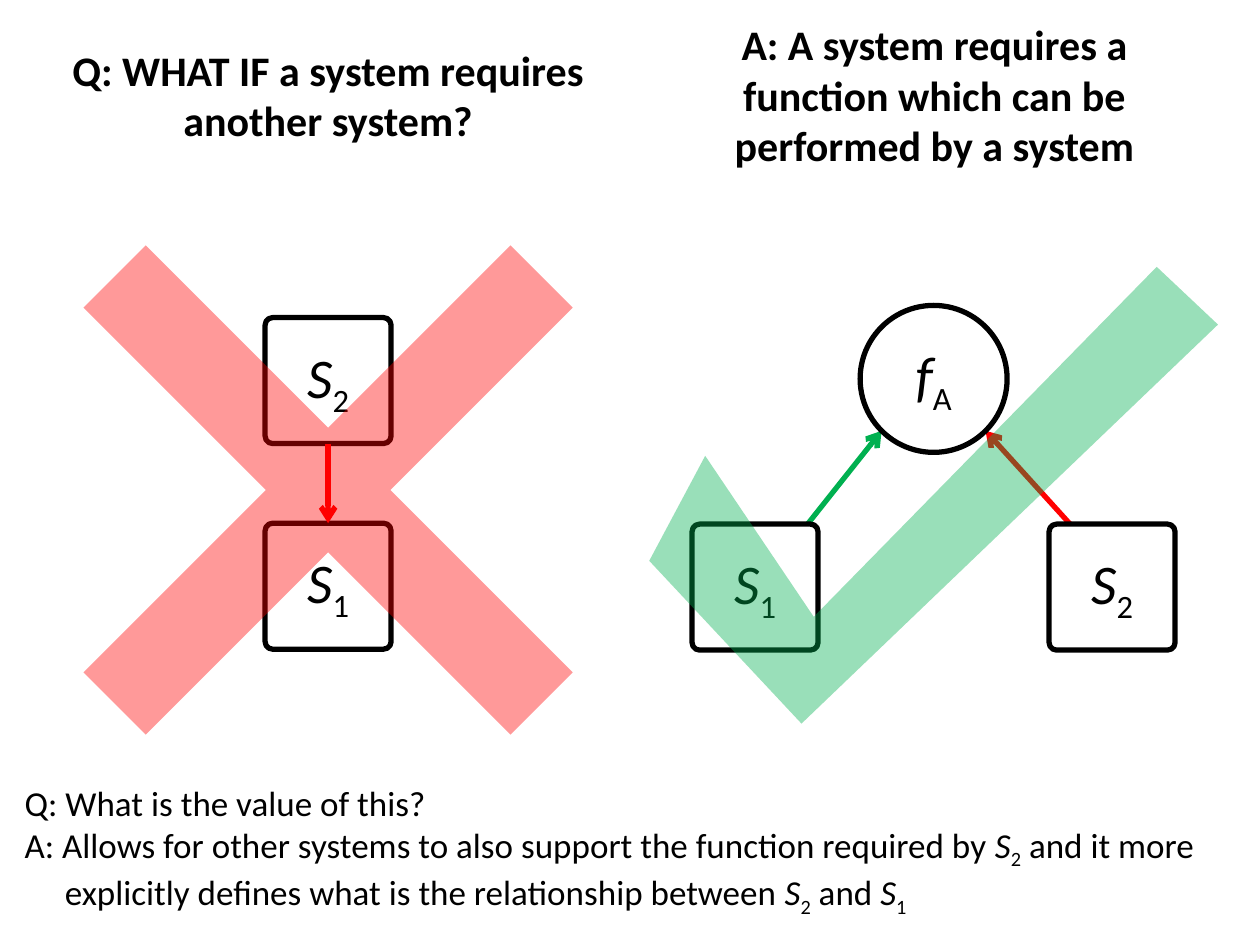
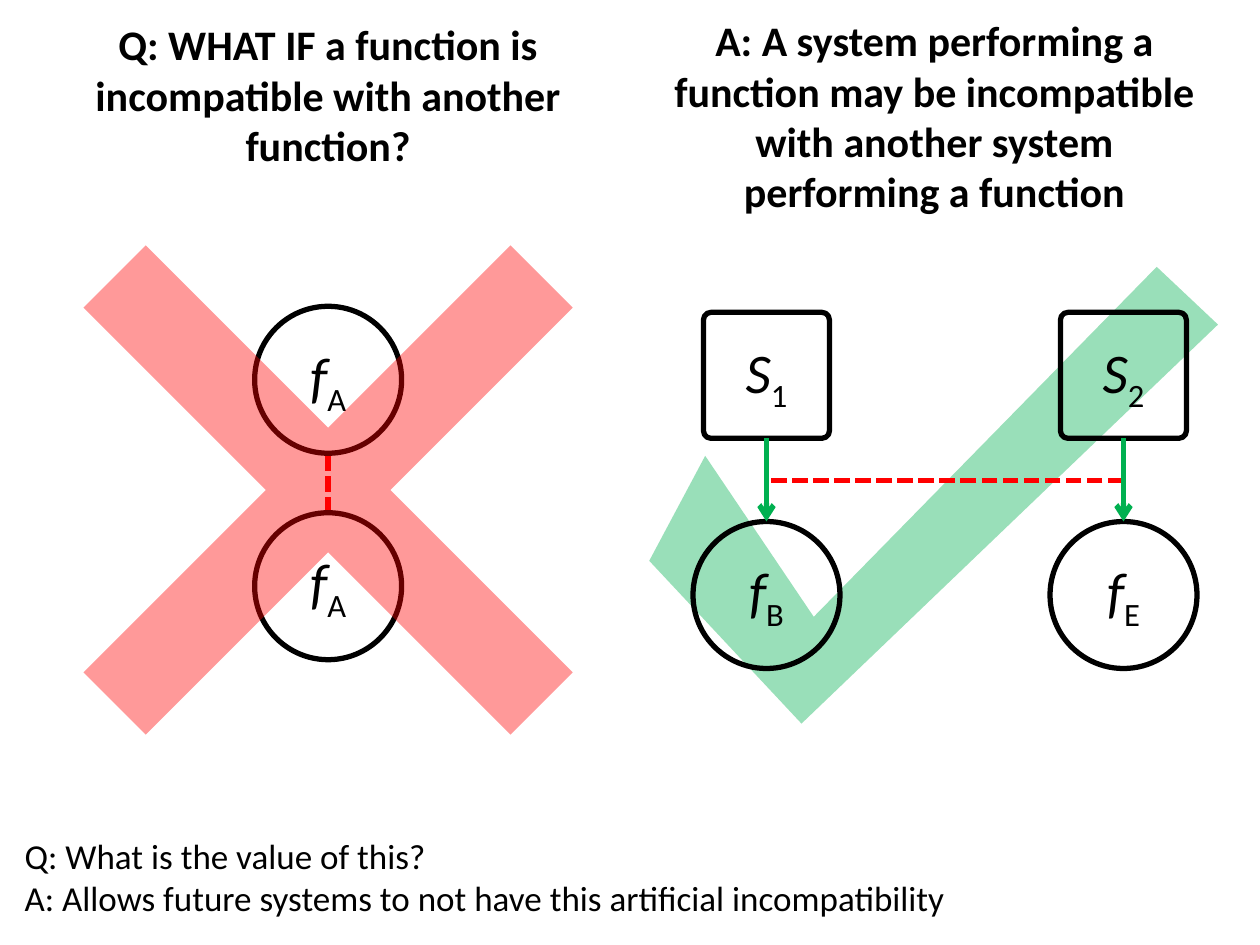
import math

from pptx import Presentation
from pptx.dml import color
from pptx.enum import dml, shapes, text
from pptx.oxml import ns, xmlchemy
from pptx.oxml import parse_xml
from pptx.util import Pt

BLACK, RED, GREEN = "000000", "FF0000", "00B050"
FONT = "Calibri"
BOX_SIDE, CIRCLE_SIDE, COLUMN_OFFSET = 72, 84, 102
CROSS_BOX = (15, 107.5, 345, 345)
CHECK_BOX = (371, 152.5, 325, 261)
LEFT_TITLE_BOX = (21.5, 36, 332, 36)
RIGHT_TITLE_BOX = (376, 36, 316, 36)
LOW_RIGHT_TITLE_BOX = (376, 48, 316, 36)
NOTE_BOX = (7, 444, 706, 84.5)
CHECK_POINTS = [(0, 168), (87, 261), (325, 33), (290, 0), (94, 200), (32, 108)]


def rgb(value):
    return color.RGBColor.from_string(value)


def points(*values):
    return [Pt(value) for value in values]


def add_element(parent, tag, **attributes):
    element = parse_xml(f"<a:{tag} {ns.nsdecls('a')}/>")
    for name, value in attributes.items():
        element.set(name, str(value))
    parent.append(element)


def symbol(letter, index):
    return [(letter, "italic"), (index, "sub")]


def write_spans(para, parts, size, bold=False):
    for wording, style in parts:
        span = para.add_run()
        span.text = wording
        span.font.name = FONT
        span.font.size = Pt(size)
        span.font.bold = bold
        span.font.italic = style == "italic"
        span.font.color.rgb = rgb(BLACK)
        if style == "sub":
            span._r.get_or_add_rPr().set("baseline", "-25000")


def add_textbox(page, box, anchor):
    frame = page.shapes.add_textbox(*points(*box)).text_frame
    frame.word_wrap = True
    frame.vertical_anchor = anchor
    return frame


def add_title(page, box, wording):
    frame = add_textbox(page, box, text.MSO_ANCHOR.MIDDLE)
    para = frame.paragraphs[0]
    para.alignment = text.PP_ALIGN.CENTER
    write_spans(para, [(wording, "")], 24, bold=True)


def add_note(page, box, answer):
    frame = add_textbox(page, box, text.MSO_ANCHOR.BOTTOM)
    write_spans(frame.paragraphs[0], [("Q: What is the value of this?", "")], 20)
    para = frame.add_paragraph()
    properties = para._p.get_or_add_pPr()
    properties.set("marL", str(Pt(23)))
    properties.set("indent", str(-Pt(23)))
    write_spans(para, answer, 20)


def add_node(page, kind, side, center_x, center_y, label):
    box = (center_x - side / 2, center_y - side / 2, side, side)
    node = page.shapes.add_shape(kind, *points(*box))
    node.shadow.inherit = False
    node.fill.background()
    node.line.color.rgb = rgb(BLACK)
    node.line.width = Pt(3)
    node.text_frame.vertical_anchor = text.MSO_ANCHOR.MIDDLE
    para = node.text_frame.paragraphs[0]
    para.alignment = text.PP_ALIGN.CENTER
    write_spans(para, label, 32)
    return node


def add_system(page, center_x, center_y, index):
    kind = shapes.MSO_SHAPE.ROUNDED_RECTANGLE
    node = add_node(page, kind, BOX_SIDE, center_x, center_y, symbol("S", index))
    node.adjustments[0] = 0.06
    return node


def add_function(page, center_x, center_y, index):
    kind = shapes.MSO_SHAPE.OVAL
    return add_node(page, kind, CIRCLE_SIDE, center_x, center_y, symbol("f", index))


def add_link(page, start, end, hue, arrow=True):
    link = page.shapes.add_connector(
        shapes.MSO_CONNECTOR.STRAIGHT, *points(*start, *end))
    link.line.color.rgb = rgb(hue)
    link.line.width = Pt(3)
    if arrow:
        add_element(link.line._get_or_add_ln(), "tailEnd", type="arrow")
    else:
        link.line.dash_style = dml.MSO_LINE.SQUARE_DOT
    add_element(link._element.spPr, "effectLst")
    return link


def add_down_arrow(page, upper, lower, hue):
    link = add_link(page, (0, 0), (0, 0), hue)
    link.begin_connect(upper, 2)
    link.end_connect(lower, 0)


def tint(shape, hue):
    shape.shadow.inherit = False
    shape.line.fill.background()
    shape.fill.solid()
    shape.fill.fore_color.rgb = rgb(hue)
    add_element(shape._element.spPr.find(ns.qn("a:solidFill"))[0], "alpha", val=40000)


def add_cross(page, box):
    cross = page.shapes.add_shape(shapes.MSO_SHAPE.CROSS, *points(*box))
    cross.adjustments[0] = 0.427
    cross.rotation = 315
    tint(cross, RED)


def add_check(page, box):
    builder = page.shapes.build_freeform(*CHECK_POINTS[0], scale=Pt(1))
    builder.add_line_segments(CHECK_POINTS[1:], close=True)
    tint(builder.convert_to_shape(*points(*box[:2])), GREEN)


def add_system_pair(page, box):
    left, top, width, height = box
    center = left + width / 2
    upper = add_system(page, center, top + 110, "2")
    lower = add_system(page, center, top + 227.5, "1")
    add_down_arrow(page, upper, lower, RED)
    add_cross(page, box)


def add_function_pair(page, box):
    left, top, width, height = box
    center, radius = left + width / 2, CIRCLE_SIDE / 2
    upper, lower = top + 109.5, top + 227.5
    add_link(page, (center, lower - radius), (center, upper + radius), RED, arrow=False)
    for center_y in (upper, lower):
        add_function(page, center, center_y, "A")
    add_cross(page, box)


def add_shared_function(page, box):
    left, top, width, height = box
    center, function_y, system_y = left + width / 2, top + 64, top + 183
    reach = CIRCLE_SIDE / 2 * math.sqrt(0.5)
    system_top = system_y - BOX_SIDE / 2
    for index, side, start, hue in (("1", -1, 72, GREEN), ("2", 1, 78, RED)):
        add_link(page, (center + side * start, system_top),
                 (center + side * reach, function_y + reach), hue)
        add_system(page, center + side * COLUMN_OFFSET, system_y, index)
    add_function(page, center, function_y, "A")
    add_check(page, box)


def add_performed_functions(page, box):
    left, top, width, height = box
    center = left + width / 2 + 6.5
    add_check(page, box)
    columns = [center - COLUMN_OFFSET, center + COLUMN_OFFSET]
    add_link(page, (columns[1], top + 122), (columns[0], top + 122), RED, arrow=False)
    for column, system_index, function_index in zip(columns, "12", "BE"):
        system = add_system(page, column, top + 62, system_index)
        function = add_function(page, column, top + 187.5, function_index)
        add_down_arrow(page, system, function, GREEN)


def add_required_system_slide(deck):
    page = deck.slides.add_slide(deck.slide_layouts[6])
    add_title(page, LEFT_TITLE_BOX, "Q: WHAT IF a system requires another system?")
    add_title(page, RIGHT_TITLE_BOX,
              "A: A system requires a function which can be performed by a system")
    add_system_pair(page, CROSS_BOX)
    add_shared_function(page, CHECK_BOX)
    add_note(page, NOTE_BOX, [
        ("A: Allows for other systems to also support the function required by ", ""),
        *symbol("S", "2"),
        (" and it more explicitly defines what is the relationship between ", ""),
        *symbol("S", "2"),
        (" and ", ""),
        *symbol("S", "1"),
    ])


def add_incompatible_function_slide(deck):
    page = deck.slides.add_slide(deck.slide_layouts[6])
    add_title(page, LEFT_TITLE_BOX,
              "Q: WHAT IF a function is incompatible with another function?")
    add_title(page, LOW_RIGHT_TITLE_BOX,
              "A: A system performing a function may be incompatible "
              "with another system performing a function")
    add_function_pair(page, CROSS_BOX)
    add_performed_functions(page, CHECK_BOX)
    add_note(page, NOTE_BOX, [
        ("A: Allows future systems to not have this artificial incompatibility", ""),
    ])


def main():
    deck = Presentation()
    deck.slide_width, deck.slide_height = points(720, 540)
    add_required_system_slide(deck)
    add_incompatible_function_slide(deck)
    deck.save("out.pptx")


if __name__ == "__main__":
    main()
